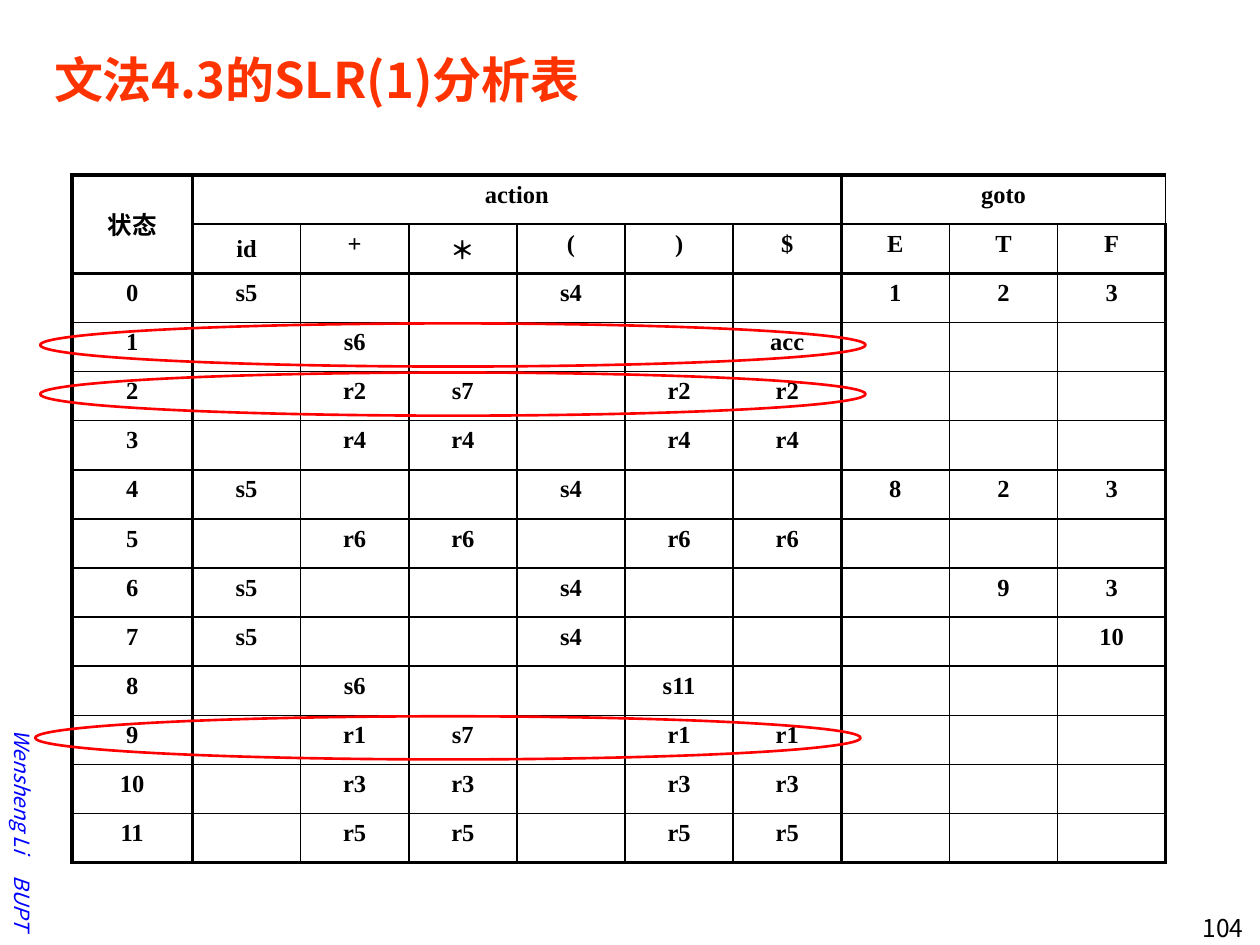
from lxml import etree
from pptx import Presentation
from pptx.dml.color import RGBColor
from pptx.enum.shapes import MSO_SHAPE
from pptx.enum.text import MSO_ANCHOR, PP_ALIGN
from pptx.oxml.ns import qn
from pptx.util import Cm, Pt

LEFT, CENTER, RIGHT = PP_ALIGN.LEFT, PP_ALIGN.CENTER, PP_ALIGN.RIGHT
TOP, MIDDLE = MSO_ANCHOR.TOP, MSO_ANCHOR.MIDDLE
OVAL = MSO_SHAPE.OVAL

TITLE = "文法4.3的SLR(1)分析表"
CREDIT = "Wensheng Li\tBUPT"
PAGE_NUMBER = "104"
EMPTY = "."
PARSE_TABLE = [row.split() for row in (
    "状态 action . . . . . goto . .",
    ". id + ＊ ( ) $ E T F",
    "0 s5 . . s4 . . 1 2 3",
    "1 . s6 . . . acc . . .",
    "2 . r2 s7 . r2 r2 . . .",
    "3 . r4 r4 . r4 r4 . . .",
    "4 s5 . . s4 . . 8 2 3",
    "5 . r6 r6 . r6 r6 . . .",
    "6 s5 . . s4 . . . 9 3",
    "7 s5 . . s4 . . . . 10",
    "8 . s6 . . s11 . . . .",
    "9 . r1 s7 . r1 r1 . . .",
    "10 . r3 r3 . r3 r3 . . .",
    "11 . r5 r5 . r5 r5 . . .",
)]
HEADER_ROWS = 2
MERGES = [((0, 0), (1, 0)), ((0, 1), (0, 6)), ((0, 7), (0, 9))]
THICK_ROW_EDGES = {0, HEADER_ROWS, len(PARSE_TABLE)}
THICK_COLUMN_EDGES = {0, 1, 7, 10}
MIDDLE_CELLS = {"状态", "id"}
SANS_CELLS = {"状态", "＊"}
HIGHLIGHT_LEFTS = {1: 0.81, 2: 0.81, 9: 0.71}

TABLE_LEFT, TABLE_TOP = 1.45, 3.53
STATE_WIDTH, SYMBOL_WIDTH, ROW_HEIGHT = 2.43, 2.18, 0.99
HIGHLIGHT_WIDTH, HIGHLIGHT_HEIGHT = 16.64, 0.87

THEME = {
    "sans": "Noto Sans CJK SC", "serif": "Times New Roman",
    "title": "FF3300", "credit": "0000FF", "text": "000000", "highlight": "FF0000",
    "title_size": 28, "body_size": 14, "credit_size": 12,
    "thin": 1, "thick": 2.25, "highlight_line": 1.5,
}


def style_paragraph(paragraph, font, size, color, align, bold=False, italic=False):
    paragraph.alignment = align
    for run in paragraph.runs:
        run.font.size = Pt(size)
        run.font.bold, run.font.italic = bold, italic
        run.font.color.rgb = RGBColor.from_string(color)
        run.font.name = font
        etree.SubElement(run.font._element, qn("a:ea"), typeface=font)


def add_text(slide, text, left, top, width, height, anchor, **style):
    shape = slide.shapes.add_textbox(Cm(left), Cm(top), Cm(width), Cm(height))
    text_frame = shape.text_frame
    text_frame.word_wrap = True
    text_frame.vertical_anchor = anchor
    text_frame.text = text
    style_paragraph(text_frame.paragraphs[0], THEME["sans"], **style)
    return shape


def add_credit(slide):
    shape = add_text(slide, CREDIT, -2.9, 15.24, 6.71, 0.76, MIDDLE,
                     size=THEME["credit_size"], color=THEME["credit"], align=LEFT, italic=True)
    shape.rotation = 90
    shape.text_frame.margin_left, shape.text_frame.margin_right = Cm(2.44), 0
    properties = shape.text_frame.paragraphs[0]._p.get_or_add_pPr()
    tabs = etree.SubElement(properties, qn("a:tabLst"))
    etree.SubElement(tabs, qn("a:tab"), pos=str(Cm(2.95)), algn="l")


def set_borders(cell, row, column):
    properties = cell._tc.get_or_add_tcPr()
    edges = {
        "a:lnL": column in THICK_COLUMN_EDGES, "a:lnR": column + 1 in THICK_COLUMN_EDGES,
        "a:lnT": row in THICK_ROW_EDGES, "a:lnB": row + cell.span_height in THICK_ROW_EDGES,
    }
    for tag, is_thick in edges.items():
        width = Pt(THEME["thick" if is_thick else "thin"])
        line = etree.SubElement(properties, qn(tag), w=str(width))
        fill = etree.SubElement(line, qn("a:solidFill"))
        etree.SubElement(fill, qn("a:srgbClr"), val=THEME["text"])


def fill_cell(cell, text):
    cell.fill.background()
    cell.vertical_anchor = MIDDLE if text in MIDDLE_CELLS else TOP
    paragraph = cell.text_frame.paragraphs[0]
    if text == EMPTY:
        size = str(THEME["body_size"] * 100)
        etree.SubElement(paragraph._p, qn("a:endParaRPr"), sz=size)
        return
    paragraph.text = text
    font = THEME["sans" if text in SANS_CELLS else "serif"]
    style_paragraph(paragraph, font, THEME["body_size"], THEME["text"], CENTER, bold=True)


def add_parse_table(slide):
    rows, columns = len(PARSE_TABLE), len(PARSE_TABLE[0])
    width = STATE_WIDTH + SYMBOL_WIDTH * (columns - 1)
    table = slide.shapes.add_table(rows, columns, Cm(TABLE_LEFT), Cm(TABLE_TOP),
                                   Cm(width), Cm(ROW_HEIGHT * rows)).table
    table.first_row = table.horz_banding = False
    for index, column in enumerate(table.columns):
        column.width = Cm(SYMBOL_WIDTH if index else STATE_WIDTH)
    for row in table.rows:
        row.height = Cm(ROW_HEIGHT)
    for first, last in MERGES:
        table.cell(*first).merge(table.cell(*last))
    for row, values in enumerate(PARSE_TABLE):
        for column, text in enumerate(values):
            cell = table.cell(row, column)
            set_borders(cell, row, column)
            fill_cell(cell, text)


def add_highlight(slide, state, left):
    top = TABLE_TOP + ROW_HEIGHT * (state + HEADER_ROWS) + 0.02
    shape = slide.shapes.add_shape(OVAL, Cm(left), Cm(top),
                                   Cm(HIGHLIGHT_WIDTH), Cm(HIGHLIGHT_HEIGHT))
    shape.shadow.inherit = False
    shape.fill.background()
    shape.line.color.rgb = RGBColor.from_string(THEME["highlight"])
    shape.line.width = Pt(THEME["highlight_line"])


def main():
    """Build the SLR(1) parse table slide."""
    presentation = Presentation()
    presentation.slide_width, presentation.slide_height = Cm(25.4), Cm(19.05)
    slide = presentation.slides.add_slide(presentation.slide_layouts[6])
    add_credit(slide)
    add_text(slide, TITLE, 0.84, 0.43, 23.93, 2.34, MIDDLE,
             size=THEME["title_size"], color=THEME["title"], align=LEFT, bold=True)
    add_text(slide, PAGE_NUMBER, 22.83, 18.29, 2.49, 0.76, TOP,
             size=THEME["body_size"], color=THEME["text"], align=RIGHT)
    add_parse_table(slide)
    for state, left in HIGHLIGHT_LEFTS.items():
        add_highlight(slide, state, left)
    presentation.save("out.pptx")


if __name__ == "__main__":
    main()
